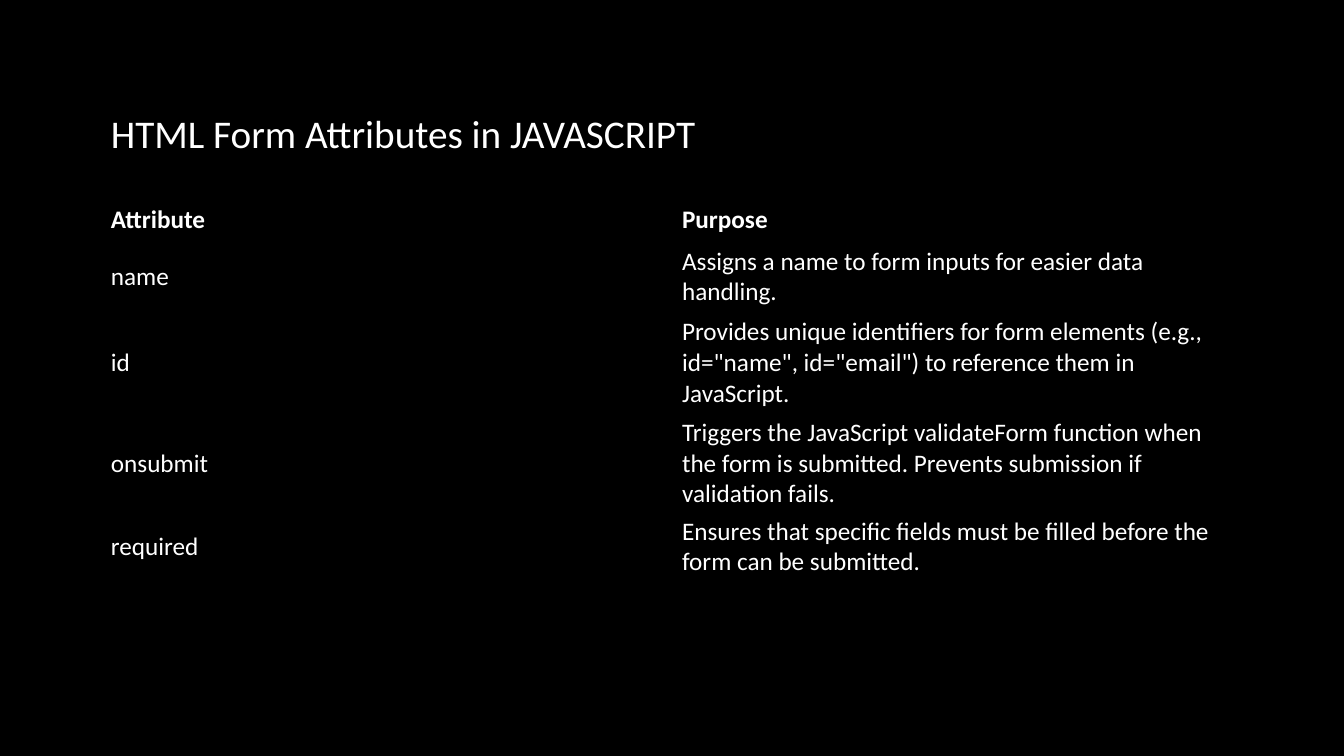
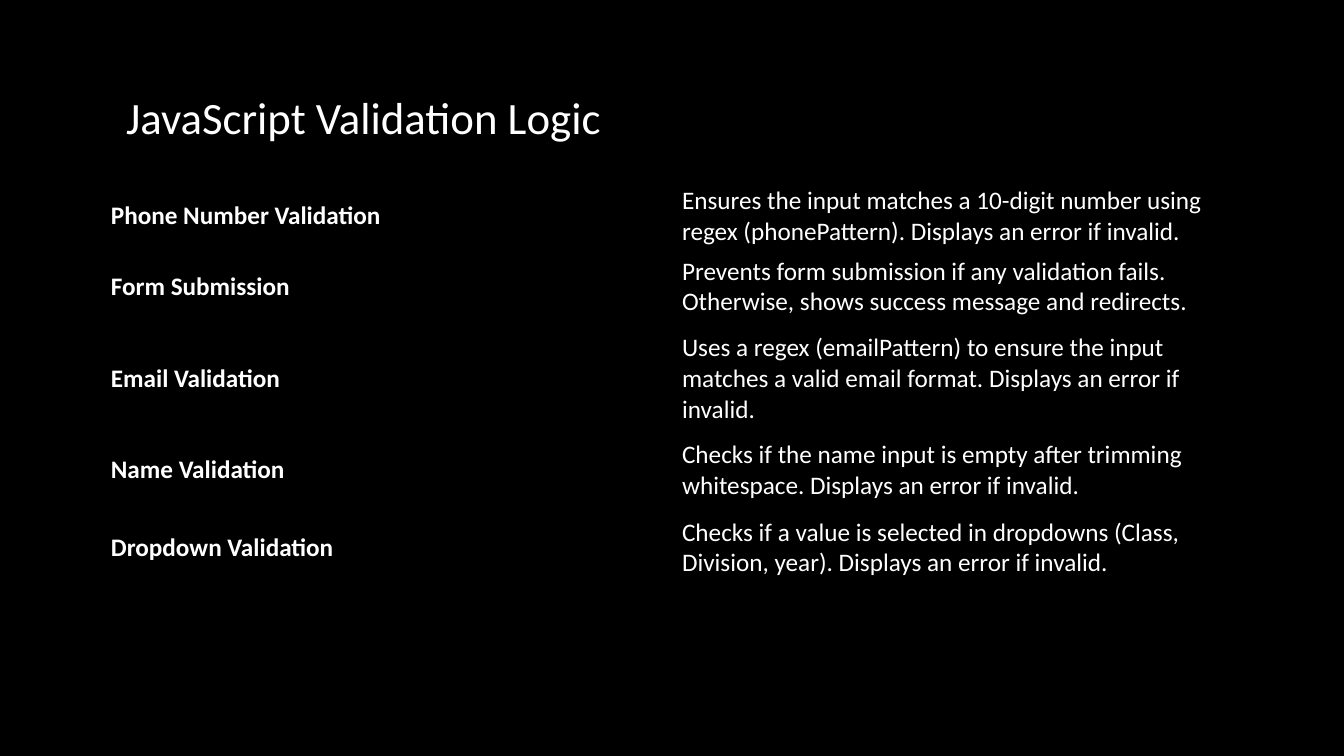
from dataclasses import dataclass

from pptx import Presentation
from pptx.dml.color import RGBColor
from pptx.enum import text
from pptx.oxml.ns import qn
from pptx.util import Inches, Pt

PLAIN_TABLE_STYLE = "{2D5ABB26-0587-4C30-8999-92F81FD0307C}"
TITLE_ONLY_LAYOUT = 5


@dataclass(frozen=True)
class Theme:
    font: str = "Calibri"
    background: RGBColor = RGBColor(0, 0, 0)
    ink: RGBColor = RGBColor(255, 255, 255)
    body_size: int = 18


class Deck:
    def __init__(self, theme):
        self.theme = theme
        self.file = Presentation()
        self.file.slide_width = Inches(13.33)
        self.file.slide_height = Inches(7.5)
        fill = self.file.slide_master.background.fill
        fill.solid()
        fill.fore_color.rgb = theme.background
        self.page = None

    def add_page(self):
        self.page = self.file.slides.add_slide(self.file.slide_layouts[TITLE_ONLY_LAYOUT])

    def style(self, para, size, bold=False):
        para.alignment = text.PP_ALIGN.LEFT
        para.font.name = self.theme.font
        para.font.size = Pt(size)
        para.font.bold = bold
        para.font.color.rgb = self.theme.ink

    def add_title(self, words, left, top, width, height, size):
        title = self.page.shapes.title
        title.left, title.top = Inches(left), Inches(top)
        title.width, title.height = Inches(width), Inches(height)
        frame = title.text_frame
        frame.text = words
        frame.auto_size = text.MSO_AUTO_SIZE.NONE
        frame.vertical_anchor = text.MSO_ANCHOR.TOP
        self.style(frame.paragraphs[0], size)

    def add_strip(self, top, height, words, bolds):
        """Add a borderless one-row table; bolds says which cells are bold."""
        box = self.page.shapes.add_table(
            1, len(words), Inches(1), Inches(top), Inches(11.33), Inches(height))
        box.element.find(".//" + qn("a:tableStyleId")).text = PLAIN_TABLE_STYLE
        box.table.first_row = False
        box.table.horz_banding = False
        for cell, word, bold in zip(box.table.iter_cells(), words, bolds):
            cell.text = word
            cell.fill.background()
            cell.vertical_anchor = text.MSO_ANCHOR.MIDDLE
            self.style(cell.text_frame.paragraphs[0], self.theme.body_size, bold)


# Each strip: top, height, (label, description)
HEADINGS = (1.98, 0.4, ("Attribute", "Purpose"))

ATTRIBUTES = [
    (2.39, 0.7, ("name", "Assigns a name to form inputs for easier data handling.")),
    (3.09, 1, ("id", 'Provides unique identifiers for form elements (e.g., id="name", '
                     'id="email") to reference them in JavaScript.')),
    (4.09, 1, ("onsubmit", "Triggers the JavaScript validateForm function when the form is "
                           "submitted. Prevents submission if validation fails.")),
    (5.07, 0.7, ("required", "Ensures that specific fields must be filled before the form "
                             "can be submitted.")),
]

VALIDATIONS = [
    (1.79, 0.7, ("Phone Number Validation", "Ensures the input matches a 10-digit number using "
                                            "regex (phonePattern). Displays an error if invalid.")),
    (2.49, 0.7, ("Form Submission", "Prevents form submission if any validation fails. "
                                    "Otherwise, shows success message and redirects.")),
    (3.25, 1, ("Email Validation", "Uses a regex (emailPattern) to ensure the input matches a "
                                   "valid email format. Displays an error if invalid.")),
    (4.31, 0.7, ("Name Validation", "Checks if the name input is empty after trimming whitespace. "
                                    "Displays an error if invalid.")),
    (5.08, 0.7, ("Dropdown Validation", "Checks if a value is selected in dropdowns (Class, "
                                        "Division, year). Displays an error if invalid.")),
]


def main():
    deck = Deck(Theme())

    deck.add_page()
    deck.add_title("HTML Form Attributes in JAVASCRIPT", 1, 1.03, 6.04, 0.57, size=28)
    deck.add_strip(*HEADINGS, bolds=(True, True))
    for strip in ATTRIBUTES:
        deck.add_strip(*strip, bolds=(False, False))

    deck.add_page()
    deck.add_title("JavaScript Validation Logic", 1.15, 0.84, 6.71, 0.64, size=32)
    for strip in VALIDATIONS:
        deck.add_strip(*strip, bolds=(True, False))

    deck.file.save("out.pptx")


if __name__ == "__main__":
    main()
